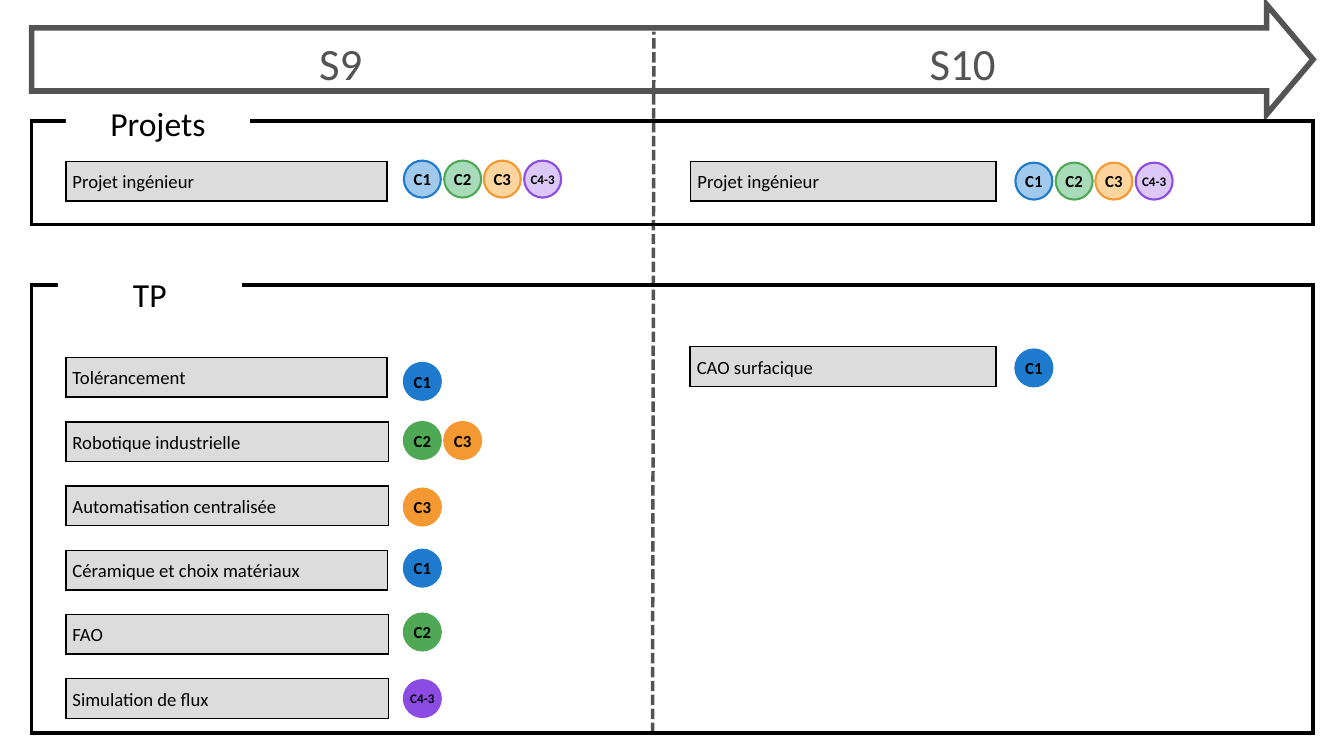
"""Build the semester overview slide of projects, practical work and skills."""
from lxml import etree
from pptx import Presentation
from pptx.dml.color import RGBColor
from pptx.enum.dml import MSO_LINE
from pptx.enum.shapes import MSO_CONNECTOR, MSO_SHAPE
from pptx.enum.text import MSO_ANCHOR, PP_ALIGN
from pptx.oxml.ns import qn
from pptx.util import Pt

PX = 9144
FONT = "Calibri"
BLACK = RGBColor(0x00, 0x00, 0x00)
WHITE = RGBColor(0xFF, 0xFF, 0xFF)
DARK = RGBColor(0x54, 0x54, 0x54)
GREY = RGBColor(0xDD, 0xDC, 0xDC)
BLUE = RGBColor(0x1E, 0x7A, 0xCC)
GREEN = RGBColor(0x4F, 0xA9, 0x54)
ORANGE = RGBColor(0xF4, 0x98, 0x31)
PURPLE = RGBColor(0x8C, 0x4B, 0xE2)
LIGHT_BLUE = RGBColor(0xA0, 0xC9, 0xEB)
LIGHT_GREEN = RGBColor(0xA8, 0xDB, 0xBA)
LIGHT_ORANGE = RGBColor(0xFB, 0xD4, 0x9E)

RECT, OVAL, ARROW = MSO_SHAPE.RECTANGLE, MSO_SHAPE.OVAL, MSO_SHAPE.RIGHT_ARROW
STRAIGHT = MSO_CONNECTOR.STRAIGHT
DASH = MSO_LINE.SQUARE_DOT
LEFT, CENTER = PP_ALIGN.LEFT, PP_ALIGN.CENTER
TOP, MIDDLE = MSO_ANCHOR.TOP, MSO_ANCHOR.MIDDLE

SKILLS = {
    "C1": (BLUE, LIGHT_BLUE, 18),
    "C2": (GREEN, LIGHT_GREEN, 18),
    "C3": (ORANGE, LIGHT_ORANGE, 18),
    "C4-3": (PURPLE, None, 14),
}
LABS = [
    ("Tolérancement", 478, 540, ["C1"]),
    ("Robotique industrielle", 480, 628, ["C2", "C3"]),
    ("Automatisation centralisée", 480, 727, ["C3"]),
    ("Céramique et choix matériaux", 479, 818, ["C1"]),
    ("FAO", 480, 913, ["C2"]),
    ("Simulation de flux", 480, 1012, ["C4-3"]),
]
LAB_TOP, LAB_STEP = 532, 95.6
BADGE_STEP = 59.6
S9_BADGES, S10_BADGES = 601, 1511


class Board:
    """Holds the style and the current slide."""

    def __init__(self, slide):
        self.s = slide

    def shape(self, kind, x, y, w, h, fill=None, line=None, width=1.5):
        sp = self.s.shapes.add_shape(kind, x * PX, y * PX, w * PX, h * PX)
        sp.shadow.inherit = False
        if fill is None:
            sp.fill.background()
        else:
            sp.fill.solid()
            sp.fill.fore_color.rgb = fill
        if line is None:
            sp.line.fill.background()
        else:
            sp.line.color.rgb = line
            sp.line.width = Pt(width)
            ln = sp._element.spPr.find(qn("a:ln"))
            etree.SubElement(ln, qn("a:miter"), lim="800000")
        return sp

    def label(self, sp, text, size, color=BLACK, bold=False, align=CENTER,
              anchor=MIDDLE, inset=None):
        tf = sp.text_frame
        tf.word_wrap = True
        tf.vertical_anchor = anchor
        if inset is not None:
            tf.margin_left = tf.margin_right = inset * PX
            tf.margin_top = tf.margin_bottom = inset * PX
        p = tf.paragraphs[0]
        p.alignment = align
        r = p.add_run()
        r.text = text
        r.font.name = FONT
        r.font.size = Pt(size)
        r.font.bold = bold
        r.font.color.rgb = color
        return p

    def timeline(self, x, y, w, h, shaft, head):
        sp = self.shape(ARROW, x, y, w, h, line=DARK, width=6)
        sp.adjustments[0] = shaft / h
        sp.adjustments[1] = head / h

    def divider(self, x1, y1, x2, y2):
        c = self.s.shapes.add_connector(STRAIGHT, x1 * PX, y1 * PX, x2 * PX, y2 * PX)
        c.line.color.rgb = DARK
        c.line.width = Pt(3.75)
        c.line.dash_style = DASH
        etree.SubElement(c._element.spPr, qn("a:effectLst"))

    def semester(self, text, x, w):
        sp = self.s.shapes.add_textbox(x * PX, 46 * PX, w * PX, 170 * PX)
        p = self.label(sp, text, 48, DARK, anchor=TOP, inset=0)
        p.line_spacing = Pt(62.4)

    def frame(self, y, h):
        self.shape(RECT, 47, y, 1907, h, line=BLACK, width=3.75)

    def title(self, text, x, y, anchor):
        sp = self.shape(RECT, x, y, 274, 61, fill=WHITE)
        self.label(sp, text, 36, anchor=anchor)

    def course(self, text, x, y, w):
        sp = self.shape(RECT, x, y, w, 59, fill=GREY, line=BLACK)
        self.label(sp, text, 20, align=LEFT)

    def badges(self, names, x, y, light=False):
        for i, name in enumerate(names):
            color, tint, size = SKILLS[name]
            fill = (tint or color) if light else color
            left = x + round(BADGE_STEP * i)
            sp = self.shape(OVAL, left, y, 55, 55, fill, color, 2.25)
            if light and tint is None:
                clr = sp._element.spPr.find(qn("a:solidFill"))[0]
                etree.SubElement(clr, qn("a:alpha"), val="30000")
            self.label(sp, name, size, bold=True, inset=0)


def main():
    prs = Presentation()
    prs.slide_width, prs.slide_height = 2000 * PX, 1125 * PX
    board = Board(prs.slides.add_slide(prs.slide_layouts[6]))

    board.timeline(47, 7, 1907, 163, shaft=94, head=69)
    board.divider(971, 1091, 973, 47)
    board.semester("S9", 50, 914)
    board.semester("S10", 981, 903)

    board.frame(180, 154)
    board.frame(424, 667)
    board.title("TP", 86, 403, TOP)
    board.title("Projets", 98, 152, MIDDLE)

    board.course("Projet ingénieur", 98, 240, 478)
    board.badges(SKILLS, S9_BADGES, 239, light=True)
    board.course("Projet ingénieur", 1028, 240, 454)
    board.badges(SKILLS, S10_BADGES, 242, light=True)

    for i, (name, width, badge_top, skills) in enumerate(LABS):
        board.course(name, 98, LAB_TOP + round(LAB_STEP * i), width)
        board.badges(skills, S9_BADGES, badge_top)
    board.course("CAO surfacique", 1027, 516, 455)
    board.badges(["C1"], S10_BADGES, 520)

    prs.save("out.pptx")


if __name__ == "__main__":
    main()
